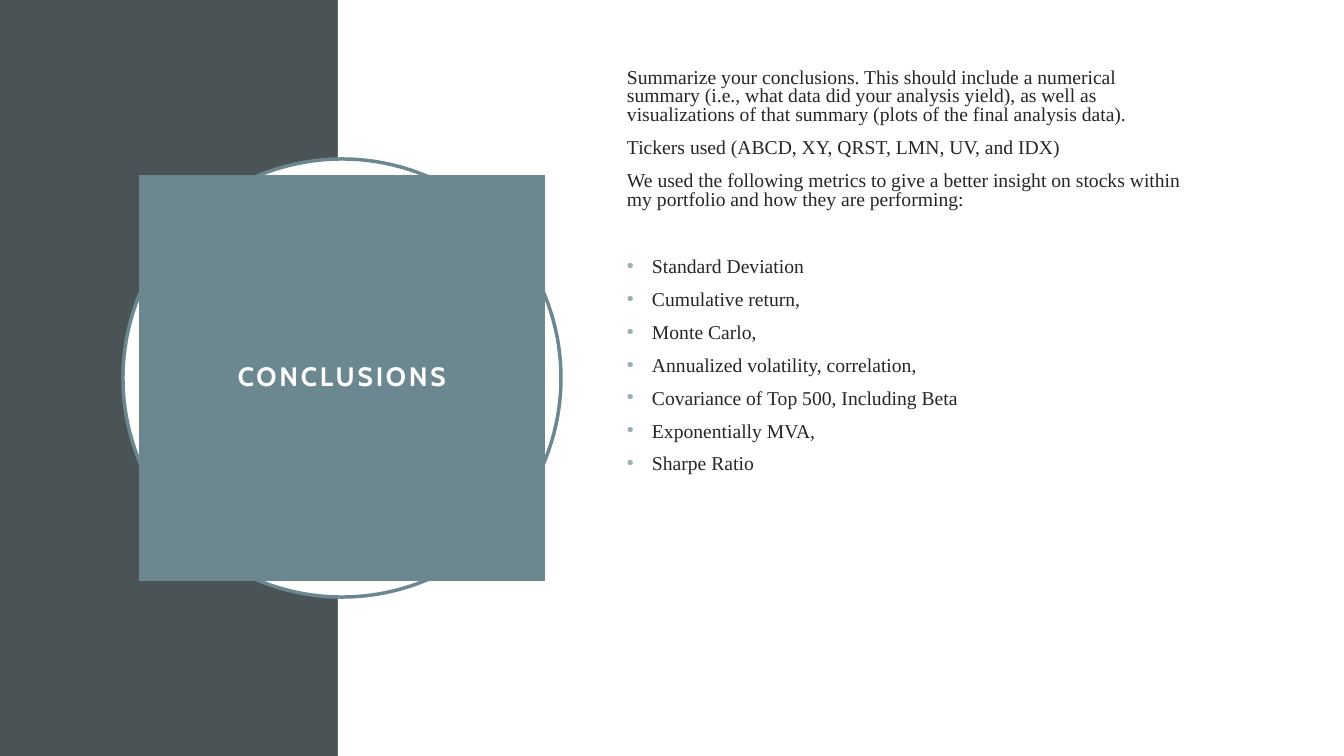
from lxml import etree
from pptx import Presentation
from pptx.dml.color import RGBColor
from pptx.enum.shapes import MSO_SHAPE
from pptx.enum.text import MSO_ANCHOR, MSO_AUTO_SIZE, PP_ALIGN
from pptx.oxml.ns import qn
from pptx.util import Pt

EMU_PER_PIXEL = 914400 / 100.8
SLIDE_WIDTH, SLIDE_HEIGHT = 1344, 756
PANEL_WIDTH = 338
TITLE_ONLY_LAYOUT = 5

RECTANGLE, OVAL = MSO_SHAPE.RECTANGLE, MSO_SHAPE.OVAL
TOP, MIDDLE = MSO_ANCHOR.TOP, MSO_ANCHOR.MIDDLE
CENTER, LEFT = PP_ALIGN.CENTER, PP_ALIGN.LEFT
NO_AUTOFIT = MSO_AUTO_SIZE.NONE

SLATE = RGBColor(0x4A, 0x53, 0x56)
TEAL = RGBColor(0x6B, 0x88, 0x91)
PALE_TEAL = RGBColor(0x9B, 0xAF, 0xB5)
WHITE = RGBColor(0xFF, 0xFF, 0xFF)
INK = RGBColor(0x26, 0x26, 0x26)

TITLE_FONT, BODY_FONT = "Cabin", "Times New Roman"

INTRODUCTION = [
    "Summarize your conclusions. This should include a numerical summary "
    "(i.e., what data did your analysis yield), as well as visualizations "
    "of that summary (plots of the final analysis data).",
    "Tickers used (ABCD, XY, QRST, LMN, UV, and IDX)",
    "We used the following metrics to give a better insight on stocks within "
    "my portfolio and how they are performing:",
]
METRICS = [
    "Standard Deviation",
    "Cumulative return,",
    "Monte Carlo,",
    "Annualized volatility, correlation,",
    "Covariance of Top 500, Including Beta",
    "Exponentially MVA,",
    "Sharpe Ratio",
]


def px(pixels):
    return round(pixels * EMU_PER_PIXEL)


def add_panel(slide, preset, left, top, width, height, fill, line=None):
    shape = slide.shapes.add_shape(preset, px(left), px(top), px(width), px(height))
    shape.shadow.inherit = False
    shape.fill.solid()
    shape.fill.fore_color.rgb = fill
    if line is None:
        shape.line.fill.background()
    else:
        shape.line.color.rgb = line
        shape.line.width = Pt(2.5)


def add_run(paragraph, text, font_name, size, color, bold=False):
    run = paragraph.add_run()
    run.text = text
    run.font.name = font_name
    run.font.size = Pt(size)
    run.font.color.rgb = color
    run.font.bold = bold
    return run


def prepare_frame(shape, anchor, side_inset, end_inset):
    frame = shape.text_frame
    frame.word_wrap = True
    frame.auto_size = NO_AUTOFIT
    frame.vertical_anchor = anchor
    frame.margin_left = frame.margin_right = px(side_inset)
    frame.margin_top = frame.margin_bottom = px(end_inset)
    return frame


def format_title(slide, text, left, top, side):
    title = slide.shapes.title
    title.left, title.top = px(left), px(top)
    title.width = title.height = px(side)
    title.fill.solid()
    title.fill.fore_color.rgb = TEAL
    paragraph = prepare_frame(title, MIDDLE, 20, 20).paragraphs[0]
    paragraph.alignment = CENTER
    paragraph.line_spacing = 0.9
    run = add_run(paragraph, text, TITLE_FONT, 19, WHITE, bold=True)
    run.font._element.set("spc", "200")
    # Bring the title in front of the panels
    slide.shapes._spTree.append(title._element)


def add_bullet(paragraph):
    properties = paragraph._p.get_or_add_pPr()
    properties.set("marL", str(px(25)))
    properties.set("indent", str(-px(25)))
    bullet_color = etree.SubElement(properties, qn("a:buClr"))
    etree.SubElement(bullet_color, qn("a:srgbClr")).set("val", str(PALE_TEAL))
    etree.SubElement(properties, qn("a:buFont")).set("typeface", "Arial")
    etree.SubElement(properties, qn("a:buChar")).set("char", "•")


def add_conclusions(slide, left, top, width, height):
    box = slide.shapes.add_textbox(px(left), px(top), px(width), px(height))
    frame = prepare_frame(box, TOP, 10, 5)
    for index, text in enumerate(INTRODUCTION + METRICS):
        paragraph = frame.add_paragraph() if index else frame.paragraphs[0]
        paragraph.alignment = LEFT
        paragraph.line_spacing = 0.8
        # A wider gap sets the metrics apart
        if index == len(INTRODUCTION):
            paragraph.space_before = Pt(35)
        else:
            paragraph.space_before = Pt(10 if index else 0)
        if index >= len(INTRODUCTION):
            add_bullet(paragraph)
        add_run(paragraph, text, BODY_FONT, 14, INK)


def main():
    presentation = Presentation()
    presentation.slide_width = px(SLIDE_WIDTH)
    presentation.slide_height = px(SLIDE_HEIGHT)
    slide = presentation.slides.add_slide(presentation.slide_layouts[TITLE_ONLY_LAYOUT])

    # Side panel, page panel and ring
    add_panel(slide, RECTANGLE, 0, 0, PANEL_WIDTH, SLIDE_HEIGHT, SLATE)
    add_panel(slide, RECTANGLE, PANEL_WIDTH, 0, SLIDE_WIDTH - PANEL_WIDTH, SLIDE_HEIGHT, WHITE)
    add_panel(slide, OVAL, 123, 159, 438, 438, WHITE, TEAL)

    # Title block and conclusions
    format_title(slide, "CONCLUSIONS", 139, 175, 406)
    add_conclusions(slide, 617, 64, 587, 447)

    presentation.save("out.pptx")


main()
